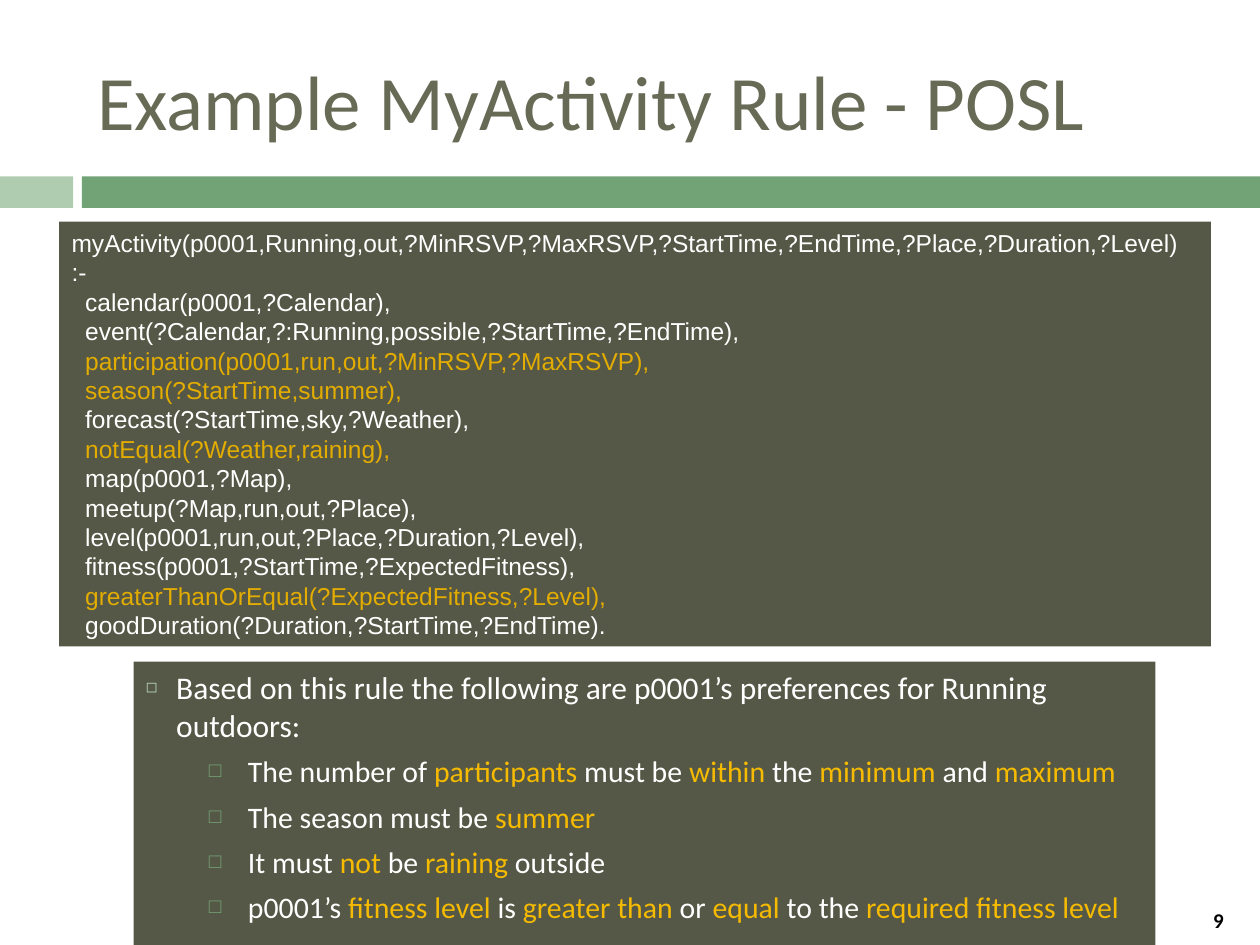
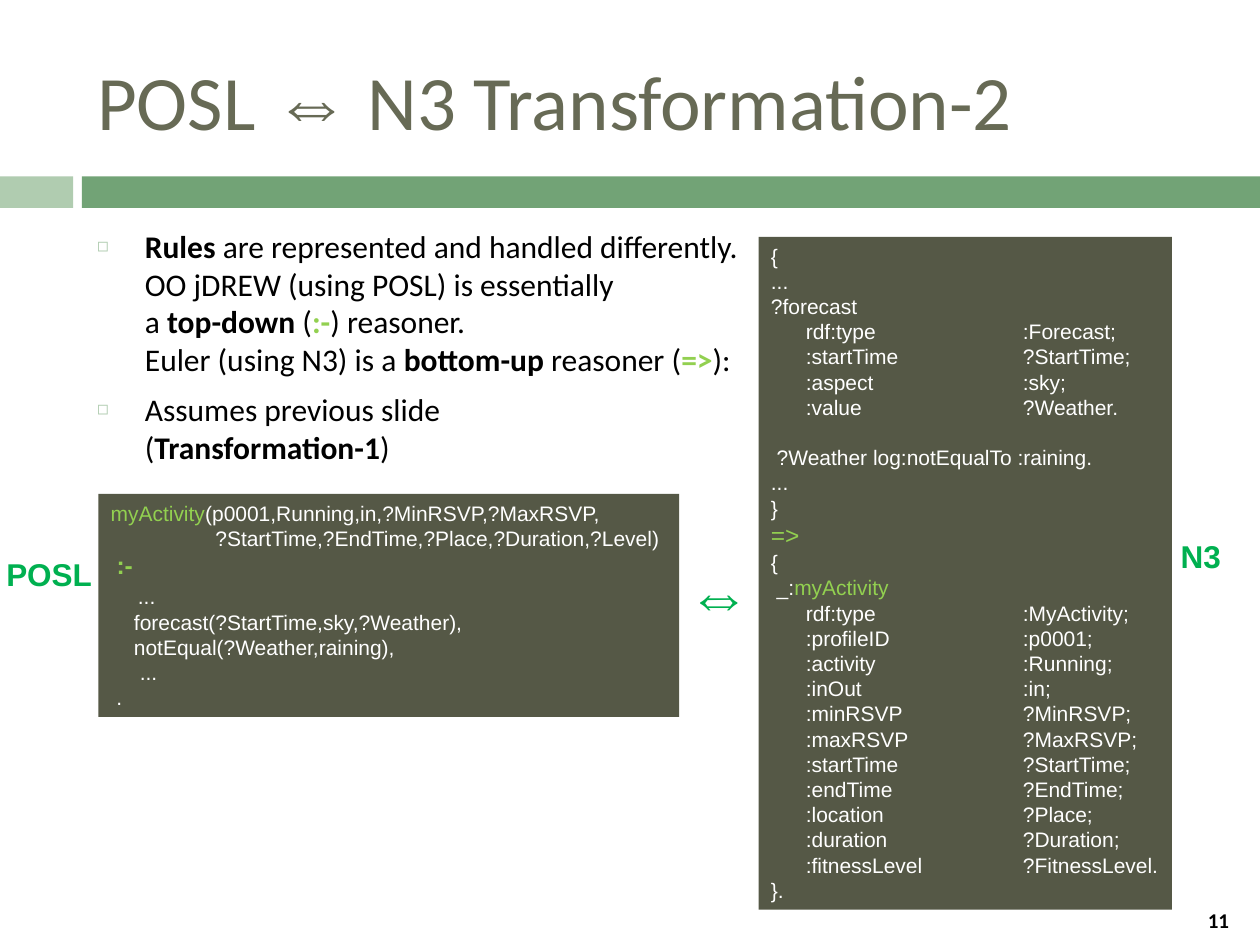
from typing import NamedTuple, Optional

from lxml.etree import SubElement
from pptx import Presentation
from pptx.dml.color import RGBColor
from pptx.enum.shapes import MSO_SHAPE
from pptx.enum.text import MSO_ANCHOR, MSO_AUTO_SIZE, PP_ALIGN
from pptx.oxml.ns import qn
from pptx.util import Inches, Pt

OLIVE = RGBColor(0x67, 0x6A, 0x55)
DARK = RGBColor(0x55, 0x58, 0x46)
MINT = RGBColor(0xB0, 0xCC, 0xB0)
SAGE = RGBColor(0x72, 0xA3, 0x76)
AMBER = RGBColor(0xE2, 0xAC, 0x00)
GOLD = RGBColor(0xF6, 0xBB, 0x00)
LIME = RGBColor(0x92, 0xD0, 0x50)
GREEN = RGBColor(0x00, 0xB0, 0x50)
WHITE = RGBColor(0xFF, 0xFF, 0xFF)
BLACK = RGBColor(0x00, 0x00, 0x00)
SANS = "Calibri"
CODE = "Arial"


class Run(NamedTuple):
    """A piece of text; what is None comes from its paragraph."""
    text: str
    color: Optional[RGBColor] = None
    bold: bool = False
    size: Optional[float] = None
    font: Optional[str] = None


def mark(text, color):
    """Split text at * and colour every second piece."""
    return [Run(part, color if i % 2 else None)
            for i, part in enumerate(text.split("*")) if part]


def write(para, runs, font, size, color):
    if isinstance(runs, str):
        runs = [Run(runs)]
    for item in runs:
        for i, line in enumerate(item.text.split("\n")):
            if i:
                para.add_line_break()
            if not line:
                continue
            run = para.add_run()
            run.text = line
            run.font.name = item.font or font
            run.font.size = Pt(item.size or size)
            run.font.bold = item.bold
            run.font.color.rgb = item.color or color
    for br in para._p.findall(qn("a:br")):
        SubElement(br, qn("a:rPr"), sz=str(size * 100))


def fill(frame, lines, font, size, color):
    """Write one paragraph per line and return the paragraphs."""
    frame.word_wrap = True
    frame.auto_size = MSO_AUTO_SIZE.NONE
    for i, runs in enumerate(lines):
        para = frame.add_paragraph() if i else frame.paragraphs[0]
        para.space_before = Pt(0)
        write(para, runs, font, size, color)
    return frame.paragraphs


def bullet(para, char, color, scale, left, hang):
    props = para._p.get_or_add_pPr()
    props.set("marL", str(Inches(left)))
    props.set("indent", str(-Inches(hang)))
    tint = SubElement(props, qn("a:buClr"))
    SubElement(tint, qn("a:srgbClr"), val=str(color))
    SubElement(props, qn("a:buSzPct"), val=str(scale * 1000))
    SubElement(props, qn("a:buFont"), typeface=CODE)
    SubElement(props, qn("a:buChar"), char=char)


def tab_stop(para, place):
    stops = SubElement(para._p.get_or_add_pPr(), qn("a:tabLst"))
    SubElement(stops, qn("a:tab"), pos=str(Inches(place)), algn="l")


def place(shape, left, top, width, height):
    shape.left, shape.top = Inches(left), Inches(top)
    shape.width, shape.height = Inches(width), Inches(height)


def panel(slide, left, top, width, height, color=DARK):
    """Add a plain rectangle and return its text frame."""
    box = slide.shapes.add_shape(MSO_SHAPE.RECTANGLE, Inches(left),
                                 Inches(top), Inches(width), Inches(height))
    box.shadow.inherit = False
    box.fill.solid()
    box.fill.fore_color.rgb = color
    box.line.fill.background()
    box.text_frame.vertical_anchor = MSO_ANCHOR.TOP
    return box.text_frame


def code(slide, left, top, width, height, lines, size):
    frame = panel(slide, left, top, width, height)
    paras = fill(frame, lines, CODE, size, WHITE)
    for para in paras:
        para.alignment = PP_ALIGN.LEFT
    return paras


def label(slide, left, top, width, height, text, size, color, font=CODE):
    box = slide.shapes.add_textbox(Inches(left), Inches(top),
                                   Inches(width), Inches(height))
    para = fill(box.text_frame, [[Run(text, bold=True)]], font, size, color)[0]
    para.alignment = PP_ALIGN.CENTER
    return box.text_frame


def start(deck, layout, title, number):
    """Add a slide with bands, title and slide number."""
    slide = deck.slides.add_slide(deck.slide_layouts[layout])
    panel(slide, 0, 1.4, 0.58, 0.25, MINT)
    panel(slide, 0.65, 1.4, 9.35, 0.25, SAGE)
    head = slide.shapes.title
    place(head, 0.67, 0.25, 8.92, 1.08)
    head.text_frame.vertical_anchor = MSO_ANCHOR.MIDDLE
    fill(head.text_frame, [title], SANS, 44, OLIVE)[0].alignment = PP_ALIGN.LEFT
    foot = label(slide, 9.38, 7.19, 0.58, 0.27, number, 12, BLACK, SANS)
    foot.vertical_anchor = MSO_ANCHOR.MIDDLE
    foot.paragraphs[0].line_spacing = 0.8
    return slide


def rule_slide(deck):
    slide = start(deck, 5, "Example MyActivity Rule - POSL", "9")
    rule = [
        "myActivity(p0001,Running,out,?MinRSVP,?MaxRSVP,"
        "?StartTime,?EndTime,?Place,?Duration,?Level)",
        ":-",
        "  calendar(p0001,?Calendar),",
        "  event(?Calendar,?:Running,possible,?StartTime,?EndTime),",
        "*  participation(p0001,run,out,?MinRSVP,?MaxRSVP),",
        "*  season(?StartTime,summer),",
        "  forecast(?StartTime,sky,?Weather),",
        "*  notEqual(?Weather,raining),",
        "  map(p0001,?Map),",
        "  meetup(?Map,run,out,?Place),",
        "  level(p0001,run,out,?Place,?Duration,?Level),",
        "  fitness(p0001,?StartTime,?ExpectedFitness),",
        "*  greaterThanOrEqual(?ExpectedFitness,?Level),",
        "  goodDuration(?Duration,?StartTime,?EndTime).",
    ]
    code(slide, 0.47, 1.76, 9.14, 3.37,
         [mark(line, AMBER) for line in rule], 14)

    wishes = [
        "The number of *participants* must be *within* the *minimum* and *maximum*",
        "The season must be *summer*",
        "It must *not* be *raining* outside",
        "p0001’s *fitness level* is *greater than* or *equal* to the "
        "*required fitness level*",
    ]
    frame = panel(slide, 1.06, 5.25, 8.11, 2.71)
    intro = ("Based on this rule the following are p0001’s preferences "
             "for Running outdoors:")
    first = fill(frame, [intro], SANS, 18, WHITE)[0]
    first.alignment = PP_ALIGN.LEFT
    bullet(first, "◻", MINT, 60, 0.24, 0.24)
    for wish in wishes:
        para = frame.add_paragraph()
        para.level = 1
        para.alignment = PP_ALIGN.LEFT
        para.space_before = Pt(5.5)
        bullet(para, "□", SAGE, 70, 0.81, 0.31)
        write(para, mark(wish, GOLD), SANS, 17, WHITE)


def fact(name, value):
    return f"      {name}\t{value}"


def match_slide(deck):
    title = [Run("POSL "), Run("⇔", font=CODE), Run(" N3 Transformation-2")]
    slide = start(deck, 1, title, "11")

    body = slide.placeholders[1]
    place(body, 0.67, 1.75, 8.92, 4.92)
    points = [
        [Run("Rules", bold=True),
         Run(" are represented and handled differently.\n"
             "OO jDREW (using POSL) is essentially\na "),
         Run("top-down ", bold=True), Run("("), Run(":-", LIME, True),
         Run(") reasoner.\nEuler (using N3) is a "),
         Run("bottom-up", bold=True), Run(" reasoner ("),
         Run("=>", LIME, True), Run("):")],
        [Run("Assumes previous slide\n("),
         Run("Transformation-1", bold=True), Run(")")],
    ]
    paras = fill(body.text_frame, points, SANS, 18, BLACK)
    paras[1].space_before = Pt(7)
    for para in paras:
        bullet(para, "◻", MINT, 60, 0.38, 0.38)

    weather = " ?Weather log:notEqualTo :raining."
    facts = [
        "{", "...", "?forecast",
        fact("rdf:type", ":Forecast;"),
        fact(":startTime", "?StartTime;"),
        fact(":aspect", ":sky;"),
        fact(":value", "?Weather."),
        weather, "...", "}",
        [Run("=>", LIME, size=14)],
        "{",
        [Run(" _:"), Run("myActivity", LIME)],
        fact("rdf:type", ":MyActivity;"),
        fact(":profileID", ":p0001;"),
        fact(":activity", ":Running;"),
        fact(":inOut", ":in;"),
        fact(":minRSVP", "?MinRSVP;"),
        fact(":maxRSVP", "?MaxRSVP;"),
        fact(":startTime", "?StartTime;"),
        fact(":endTime", "?EndTime;"),
        fact(":location", "?Place;"),
        fact(":duration", "?Duration;"),
        fact(":fitnessLevel", "?FitnessLevel."),
        "}.",
    ]
    paras = code(slide, 6.02, 1.88, 3.28, 5.34, facts, 12)
    for para in paras:
        tab_stop(para, 2)
    paras[facts.index(weather)].space_before = Pt(14.4)

    clause = [
        [Run("myActivity", LIME), Run("(p0001,Running,in,?MinRSVP,?MaxRSVP,")],
        "                  ?StartTime,?EndTime,?Place,?Duration,?Level)",
        [Run(" "), Run(":-", LIME, True, 14)],
        [Run("    ", size=14), Run("...")],
        "    forecast(?StartTime,sky,?Weather),",
        "    notEqual(?Weather,raining),",
        "     ...",
        " .",
    ]
    code(slide, 0.78, 3.92, 4.61, 1.77, clause, 12)

    label(slide, 5, 4.37, 1.41, 0.7, "⇔", 36, GREEN)
    label(slide, -0.08, 4.36, 0.94, 0.4, "POSL", 18, GREEN)
    label(slide, 9.06, 4.21, 0.94, 0.4, "N3", 18, GREEN)


def main():
    deck = Presentation()
    deck.slide_width, deck.slide_height = Inches(10), Inches(7.5)
    rule_slide(deck)
    match_slide(deck)
    deck.save("out.pptx")


if __name__ == "__main__":
    main()
